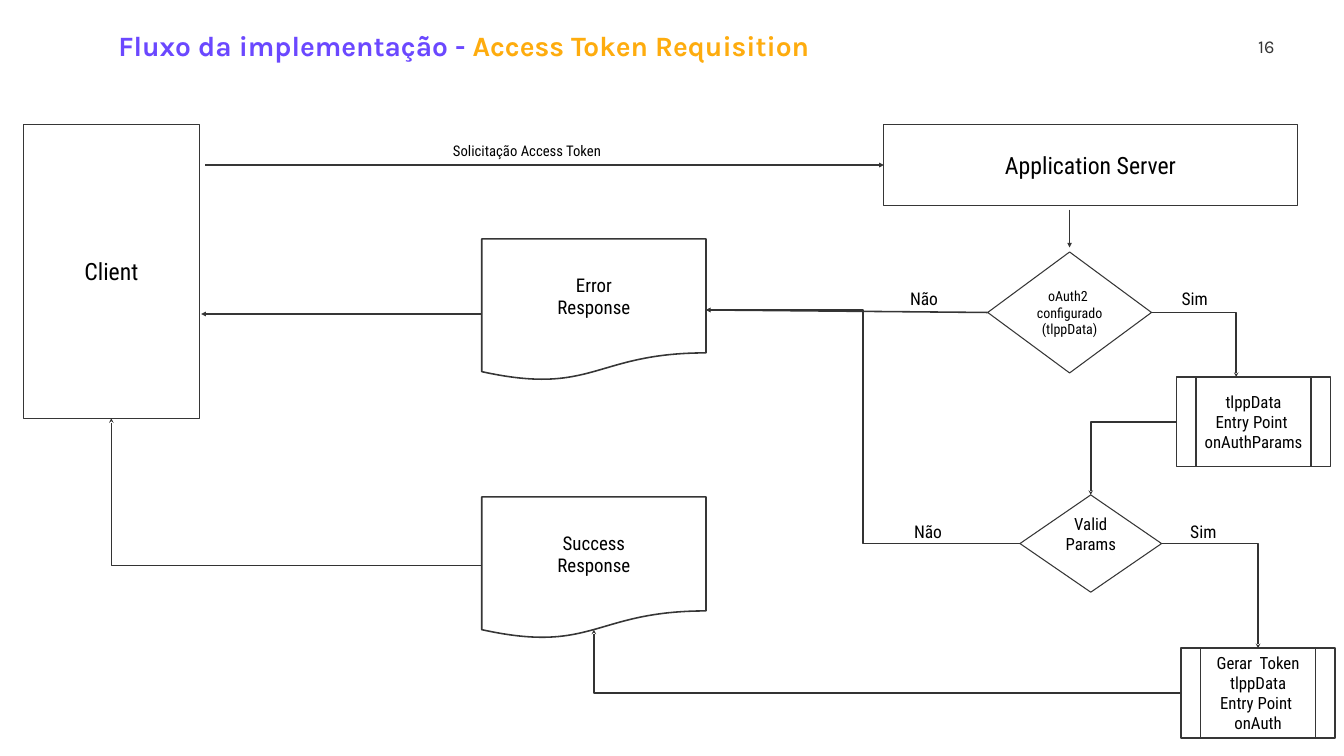
import pptx
import pptx.dml.color
import pptx.enum.shapes
import pptx.enum.text
import pptx.oxml
import pptx.util
from pptx.util import Inches

RGBColor = pptx.dml.color.RGBColor
SHAPE = pptx.enum.shapes.MSO_SHAPE
CONNECTOR = pptx.enum.shapes.MSO_CONNECTOR
ALIGN = pptx.enum.text.PP_ALIGN
ANCHOR = pptx.enum.text.MSO_ANCHOR
AUTO_SIZE = pptx.enum.text.MSO_AUTO_SIZE

PURPLE = RGBColor(0x6B, 0x48, 0xFF)
ORANGE = RGBColor(0xFE, 0xAC, 0x0E)
DARK = RGBColor(0x36, 0x36, 0x36)
ELBOW_DARK = RGBColor(0x33, 0x33, 0x33)
BLACK = RGBColor(0, 0, 0)
TITLE_FONT = "Karla"
FLOW_FONT = "Roboto Condensed"


def style(run, font, size, color, bold=False):
    run.font.name = font
    run.font.size = pptx.util.Pt(size)
    run.font.color.rgb = color
    run.font.bold = bold


def set_insets(frame, horizontal=0.1, vertical=0.1):
    frame.margin_left = frame.margin_right = Inches(horizontal)
    frame.margin_top = frame.margin_bottom = Inches(vertical)
    frame.word_wrap = True


def add_node(slide, kind, box, text, size, line_width=1.5):
    node = slide.shapes.add_shape(kind, *(Inches(v) for v in box))
    node.shadow.inherit = False
    node.fill.background()
    node.line.color.rgb = DARK
    node.line.width = pptx.util.Pt(line_width)
    frame = node.text_frame
    frame.text = text
    set_insets(frame)
    frame.vertical_anchor = ANCHOR.MIDDLE
    for paragraph in frame.paragraphs:
        paragraph.alignment = ALIGN.CENTER
        for run in paragraph.runs:
            style(run, FLOW_FONT, size, BLACK)
    return node


def add_label(slide, left, top, text, width=1.52, height=0.62, size=25):
    label = slide.shapes.add_textbox(
        Inches(left), Inches(top), Inches(width), Inches(height))
    frame = label.text_frame
    frame.text = text
    set_insets(frame)
    frame.auto_size = AUTO_SIZE.SHAPE_TO_FIT_TEXT
    style(frame.paragraphs[0].runs[0], FLOW_FONT, size, BLACK)


def point(node, across, down):
    """Point at the given fractions of a node's width and height."""
    return (int(node.left + node.width * across),
            int(node.top + node.height * down))


def add_arrow(slide, start, end, kind=CONNECTOR.STRAIGHT, corner=False):
    """Arrow from start to end; corner leaves one bend, horizontal first."""
    arrow = slide.shapes.add_connector(kind, *start, *end)
    elbow = kind == CONNECTOR.ELBOW
    arrow.line.color.rgb = ELBOW_DARK if elbow else DARK
    arrow.line.width = pptx.util.Pt(2.25)
    properties = arrow._element.spPr
    if corner:
        properties.prstGeom.set("prst", "bentConnector2")
    head = pptx.oxml.parse_xml(
        '<a:tailEnd xmlns:a="http://schemas.openxmlformats.org/drawingml/2006/main"'
        f' type="{"stealth" if elbow else "triangle"}"/>')
    properties.find(pptx.oxml.ns.qn("a:ln")).append(head)
    properties.append(pptx.oxml.parse_xml(
        '<a:effectLst xmlns:a="http://schemas.openxmlformats.org/drawingml/2006/main"/>'))


def add_corner_arrow(slide, start, end):
    add_arrow(slide, start, end, CONNECTOR.ELBOW, corner=True)


def add_header(slide, left, top, width):
    title = slide.shapes.title
    title.left, title.top = Inches(left), Inches(top)
    title.width, title.height = Inches(14.85), Inches(0.82)
    frame = title.text_frame
    set_insets(frame, vertical=0.05)
    frame.auto_size = AUTO_SIZE.NONE
    frame.vertical_anchor = ANCHOR.TOP
    heading = frame.paragraphs[0]
    heading.alignment = ALIGN.LEFT
    for text, color in (("Fluxo da implementação - ", PURPLE),
                        ("Access Token Requisition", ORANGE)):
        run = heading.add_run()
        run.text = text
        style(run, TITLE_FONT, 40, color, bold=True)

    number = slide.shapes.add_textbox(
        Inches(left + width - 1.1), Inches(top), Inches(1.1), Inches(0.82))
    frame = number.text_frame
    frame.text = "16"
    set_insets(frame, vertical=0.05)
    frame.vertical_anchor = ANCHOR.MIDDLE
    frame.paragraphs[0].alignment = ALIGN.RIGHT
    style(frame.paragraphs[0].runs[0], TITLE_FONT, 26, DARK)


def add_responses(slide, left, top):
    """Error and success documents, one above the other."""
    return [add_node(slide, SHAPE.FLOWCHART_DOCUMENT,
                     (left, top + row * 5.12, 4.45, 2.82),
                     f"{outcome}\nResponse", 27, 2.25)
            for row, outcome in enumerate(("Error", "Success"))]


def add_server_checks(slide, left, top):
    """Server with its two decisions and two entry points."""
    server = add_node(slide, SHAPE.RECTANGLE, (left, top, 8.2, 1.61),
                      "Application Server", 34)
    configured = add_node(slide, SHAPE.FLOWCHART_DECISION,
                          (left + 2.06, top + 2.53, 3.25, 2.4),
                          "oAuth2  configurado\v(tlppData)", 20)
    auth_params = add_node(slide, SHAPE.FLOWCHART_PREDEFINED_PROCESS,
                           (left + 5.81, top + 5.01, 3.05, 1.78),
                           "tlppData\nEntry Point \vonAuthParams", 24, 2.25)
    valid = add_node(slide, SHAPE.FLOWCHART_DECISION,
                     (left + 2.7, top + 7.35, 2.81, 1.93),
                     "Valid\vParams", 24)
    valid.text_frame.margin_bottom = Inches(0.48)
    token = add_node(slide, SHAPE.FLOWCHART_PREDEFINED_PROCESS,
                     (left + 5.9, top + 10.39, 3.05, 1.78),
                     "Gerar  Token\ntlppData\nEntry Point \vonAuth", 24, 2.25)

    middle = point(configured, 0.5, 0)[0]
    add_arrow(slide, (middle, Inches(top + 1.69)), (middle, Inches(top + 2.44)))
    add_corner_arrow(slide, point(configured, 1, 0.5),
                     (Inches(left + 6.99), auth_params.top))
    add_corner_arrow(slide, point(auth_params, 0, 0.5), point(valid, 0.5, 0))
    add_corner_arrow(slide, point(valid, 1, 0.5), point(token, 0.5, 0))
    for across, down, answer in ((0.42, 3.14, "Não"), (5.81, 3.14, "Sim"),
                                 (0.5, 7.77, "Não"), (5.98, 7.77, "Sim")):
        add_label(slide, left + across, top + down, answer)
    return server, configured, valid, token


def add_messages(slide, client, responses, checks):
    """Arrows that cross between client, responses and server."""
    error, success = responses
    server, configured, valid, token = checks
    request_y = point(server, 0, 0.5)[1]
    add_arrow(slide, (point(client, 1, 0)[0] + Inches(0.12), request_y),
              (server.left, request_y))
    add_label(slide, 8.89, 2.72, "Solicitação Access Token", 3.25, 0.56, 21)
    add_arrow(slide, point(configured, 0, 0.5), point(error, 1, 0.5))
    add_arrow(slide, point(valid, 0, 0.5), point(error, 1, 0.5), CONNECTOR.ELBOW)
    reply_y = Inches(6.23)
    add_arrow(slide, (error.left, reply_y),
              (point(client, 1, 0)[0] + Inches(0.04), reply_y))
    add_corner_arrow(slide, point(token, 0, 0.5), point(success, 0.5, 0.934))
    add_corner_arrow(slide, (success.left, Inches(11.22)), point(client, 0.5, 1))


def main():
    deck = pptx.Presentation()
    deck.slide_width, deck.slide_height = Inches(26.67), Inches(15)
    slide = deck.slides.add_slide(deck.slide_layouts[5])
    add_header(slide, 2.25, 0.51, 23.14)
    client = add_node(slide, SHAPE.RECTANGLE, (0.47, 2.47, 3.48, 5.83), "Client", 34)
    responses = add_responses(slide, 9.56, 4.74)
    checks = add_server_checks(slide, 17.54, 2.47)
    add_messages(slide, client, responses, checks)
    deck.save("out.pptx")


if __name__ == "__main__":
    main()
